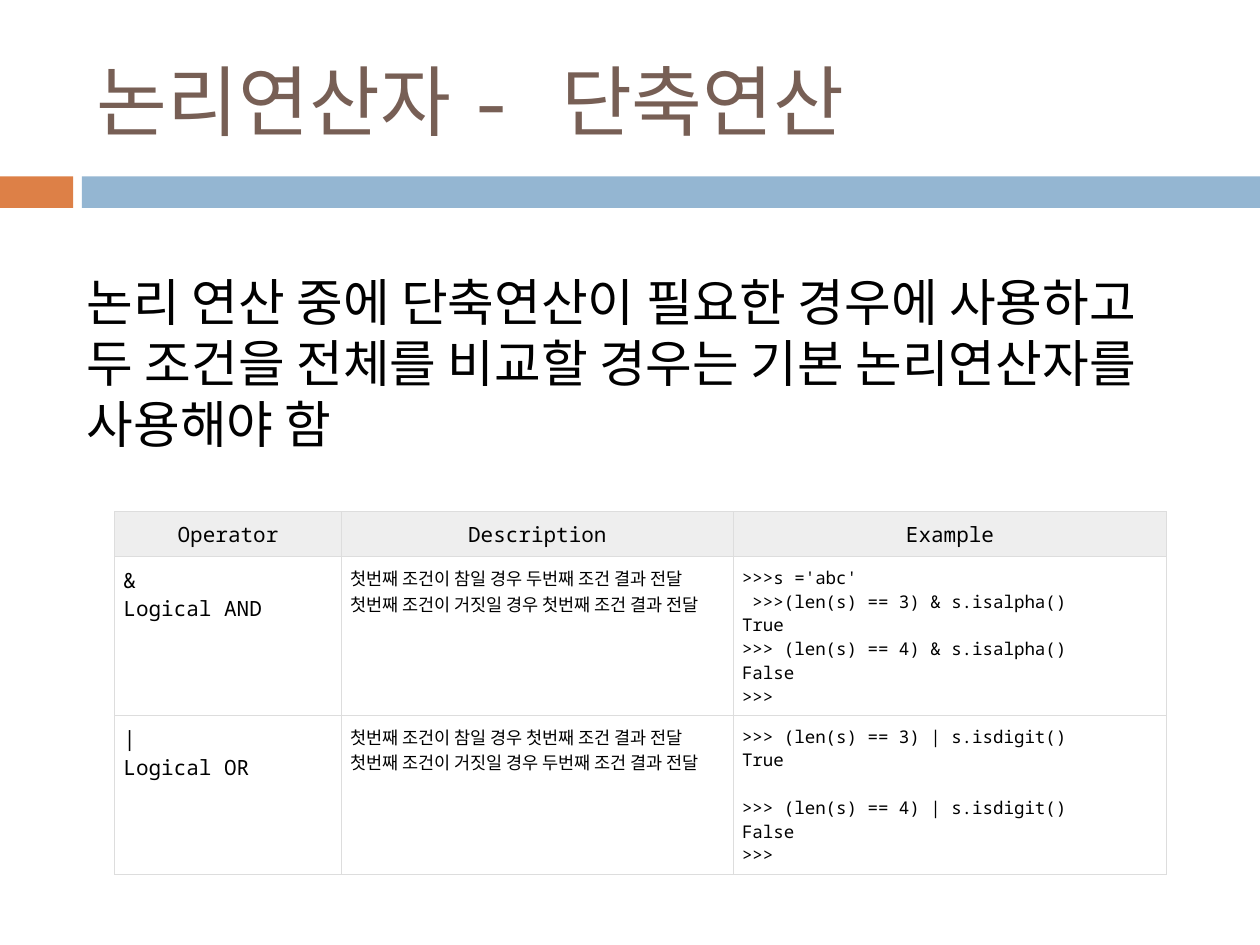
from dataclasses import dataclass

from lxml import etree
from pptx import Presentation
from pptx.dml.color import RGBColor as RGB
from pptx.enum.shapes import MSO_SHAPE as Shape
from pptx.enum.text import MSO_ANCHOR as Anchor, PP_ALIGN as Align
from pptx.oxml.ns import qn
from pptx.util import Inches, Pt


@dataclass(frozen=True)
class Theme:
    font: str = "Noto Sans Mono"
    orange: str = "DD8047"
    blue: str = "94B6D2"
    brown: str = "775F55"
    black: str = "000000"
    header: str = "EEEEEE"
    white: str = "FFFFFF"
    border: str = "DDDDDD"
    title_size: int = 44
    body_size: int = 29
    label_size: int = 12
    detail_size: int = 10


THEME = Theme()
CODE_GAP = 13.6  # points, one line of code

COLUMN_WIDTHS = (1.8, 3.11, 3.44)
ROW_HEIGHTS = (0.36, 1.26, 1.26)
# Each cell is a list of blocks; a gap separates the blocks.
OPERATORS = (
    (["Operator"], ["Description"], ["Example"]),
    (
        ["&\nLogical AND"],
        ["첫번째 조건이 참일 경우 두번째 조건 결과 전달\n"
         "첫번째 조건이 거짓일 경우 첫번째 조건 결과 전달"],
        [">>>s ='abc'\n >>>(len(s) == 3) & s.isalpha()\nTrue\n"
         ">>> (len(s) == 4) & s.isalpha()\nFalse\n>>>"],
    ),
    (
        ["|\nLogical OR"],
        ["첫번째 조건이 참일 경우 첫번째 조건 결과 전달\n"
         "첫번째 조건이 거짓일 경우 두번째 조건 결과 전달"],
        [">>> (len(s) == 3) | s.isdigit()\nTrue",
         ">>> (len(s) == 4) | s.isdigit()\nFalse\n>>>"],
    ),
)


def style(paragraph, size, color):
    paragraph.font.name = THEME.font
    paragraph.font.size = Pt(size)
    paragraph.font.color.rgb = RGB.from_string(color)


def add_bar(slide, left, width, color):
    bar = slide.shapes.add_shape(
        Shape.RECTANGLE, Inches(left), Inches(1.4), Inches(width), Inches(0.25))
    bar.shadow.inherit = False
    bar.fill.solid()
    bar.fill.fore_color.rgb = RGB.from_string(color)
    bar.line.fill.background()


def add_text(slide, box, text, size, color, anchor=Anchor.TOP, spacing=None):
    frame = slide.shapes.add_textbox(*map(Inches, box)).text_frame
    frame.word_wrap = True
    frame.vertical_anchor = anchor
    paragraph = frame.paragraphs[0]
    paragraph.text = text
    paragraph.line_spacing = spacing
    style(paragraph, size, color)


def add_borders(cell):
    properties = cell._tc.get_or_add_tcPr()
    for position, side in enumerate(("lnL", "lnR", "lnT", "lnB")):
        line = etree.Element(qn(f"a:{side}"), w=str(Pt(0.6)))
        fill = etree.SubElement(line, qn("a:solidFill"))
        etree.SubElement(fill, qn("a:srgbClr"), val=THEME.border)
        properties.insert(position, line)


def fill_cell(cell, blocks, size, is_header):
    cell.margin_left = cell.margin_right = Inches(0.07)
    cell.margin_top = cell.margin_bottom = Inches(0.07)
    cell.fill.solid()
    cell.fill.fore_color.rgb = RGB.from_string(
        THEME.header if is_header else THEME.white)
    add_borders(cell)

    cell.text = "\n".join(blocks)
    paragraphs = cell.text_frame.paragraphs
    for paragraph in paragraphs:
        paragraph.alignment = Align.CENTER if is_header else Align.LEFT
        style(paragraph, size, THEME.black)

    start = 0
    for block in blocks[:-1]:
        start += len(block.split("\n"))
        paragraphs[start].space_before = Pt(CODE_GAP)


def add_operator_table(slide):
    table = slide.shapes.add_table(
        len(ROW_HEIGHTS), len(COLUMN_WIDTHS), Inches(0.91), Inches(4.06),
        Inches(sum(COLUMN_WIDTHS)), Inches(sum(ROW_HEIGHTS))).table
    for column, width in zip(table.columns, COLUMN_WIDTHS):
        column.width = Inches(width)
    for row, height in zip(table.rows, ROW_HEIGHTS):
        row.height = Inches(height)
    for r, operator in enumerate(OPERATORS):
        for c, blocks in enumerate(operator):
            is_label = r == 0 or c == 0
            size = THEME.label_size if is_label else THEME.detail_size
            fill_cell(table.cell(r, c), blocks, size, is_header=r == 0)


def main():
    deck = Presentation()
    deck.slide_width, deck.slide_height = Inches(10), Inches(7.5)
    slide = deck.slides.add_slide(deck.slide_layouts[6])

    # Divider bars
    add_bar(slide, 0, 0.58, THEME.orange)
    add_bar(slide, 0.65, 9.35, THEME.blue)

    # Title
    add_text(slide, (0.67, 0.25, 8.92, 1.08), "논리연산자 - 단축연산",
             THEME.title_size, THEME.brown, Anchor.MIDDLE)

    # Operators and their short-circuit behaviour
    add_operator_table(slide)

    # Guidance
    add_text(slide, (0.59, 2.1, 8.74, 1.57),
             "논리 연산 중에 단축연산이 필요한 경우에 사용하고 두 조건을 전체를 "
             "비교할 경우는 기본 논리연산자를 사용해야 함",
             THEME.body_size, THEME.black)

    deck.save("out.pptx")


if __name__ == "__main__":
    main()
